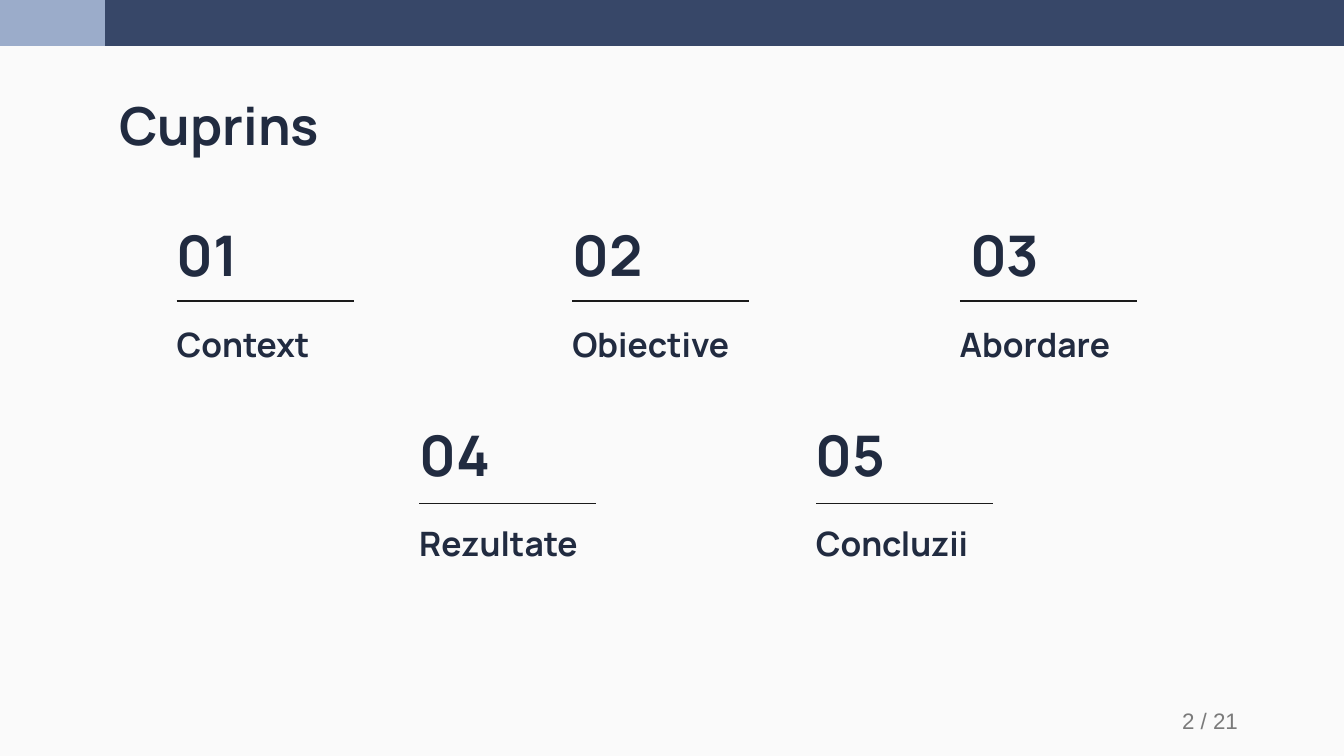
"""Build the contents slide: a title and five numbered sections in two rows."""
from lxml.etree import SubElement
from pptx import Presentation
from pptx.dml.color import RGBColor
from pptx.enum.shapes import MSO_CONNECTOR, MSO_SHAPE
from pptx.enum.text import MSO_ANCHOR, PP_ALIGN
from pptx.oxml.ns import qn
from pptx.util import Pt

NAVY = RGBColor(0x37, 0x47, 0x68)
LIGHT_BLUE = RGBColor(0x9B, 0xAC, 0xCA)
INK = RGBColor(0x21, 0x2B, 0x40)
RULE = RGBColor(0x1B, 0x1B, 0x1B)
GRAY = RGBColor(0x7A, 0x7A, 0x7A)
PAPER = RGBColor(0xFA, 0xFA, 0xFA)

TITLE = "Cuprins"
PAGE_NUMBER = "2 / 21"
BARS = [(720, NAVY), (56.2, LIGHT_BLUE)]
ROWS = [
    {"number_top": 121.7, "rule_top": 161.3, "label_top": 167.2,
     "sections": [(87.5, 0, "Context"), (299.5, 0, "Obiective"), (507, 5.6, "Abordare")]},
    {"number_top": 229, "rule_top": 269.8, "label_top": 273.6,
     "sections": [(217.5, 0, "Rezultate"), (430, 0, "Concluzii")]},
]
INSET = 7.2
RULE_WIDTH = 94.8


def write(box, text, size, color=INK, font="Manrope", bold=True,
          anchor=MSO_ANCHOR.BOTTOM, align=PP_ALIGN.LEFT, vertical_inset=INSET):
    frame = box.text_frame
    frame.word_wrap = True
    frame.vertical_anchor = anchor
    frame.margin_left = frame.margin_right = Pt(INSET)
    frame.margin_top = frame.margin_bottom = Pt(vertical_inset)
    para = frame.paragraphs[0]
    para.text = text
    para.alignment = align
    para.font.name = font
    para.font.size = Pt(size)
    para.font.bold = bold
    para.font.color.rgb = color


def add_text(page, left, top, width, height, text, size, **style):
    box = page.shapes.add_textbox(Pt(left), Pt(top), Pt(width), Pt(height))
    write(box, text, size, **style)


def add_bar(page, width, color):
    bar = page.shapes.add_shape(MSO_SHAPE.RECTANGLE, 0, 0, Pt(width), Pt(24.6))
    bar.shadow.inherit = False
    bar.fill.solid()
    bar.fill.fore_color.rgb = color
    bar.line.fill.background()


def add_rule(page, left, top):
    rule = page.shapes.add_connector(
        MSO_CONNECTOR.STRAIGHT, Pt(left), Pt(top), Pt(left + RULE_WIDTH), Pt(top))
    rule.line.color.rgb = RULE
    rule.line.width = Pt(0.75)
    SubElement(rule._element.spPr, qn("a:effectLst"))


def main():
    deck = Presentation()
    deck.slide_width, deck.slide_height = Pt(720), Pt(405)
    page = deck.slides.add_slide(deck.slide_layouts[5])
    page.background.fill.solid()
    page.background.fill.fore_color.rgb = PAPER

    for width, color in BARS:
        add_bar(page, width, color)

    title = page.shapes.title
    title.left, title.top, title.width, title.height = Pt(56.7), Pt(42.5), Pt(607), Pt(45)
    write(title, TITLE, 28, anchor=MSO_ANCHOR.TOP)

    number = 0
    for row in ROWS:
        for left, number_shift, label in row["sections"]:
            number += 1
            add_text(page, left + number_shift, row["number_top"], 57.6, 39.6, f"{number:02}", 30)
            add_rule(page, left + INSET, row["rule_top"])
            add_text(page, left, row["label_top"], 182, 35.3, label, 18)

    add_text(page, 508.3, 375, 162, 21.6, PAGE_NUMBER, 12, color=GRAY, font="Arial",
             bold=False, anchor=MSO_ANCHOR.MIDDLE, align=PP_ALIGN.RIGHT, vertical_inset=3.6)
    deck.save("out.pptx")


if __name__ == "__main__":
    main()
